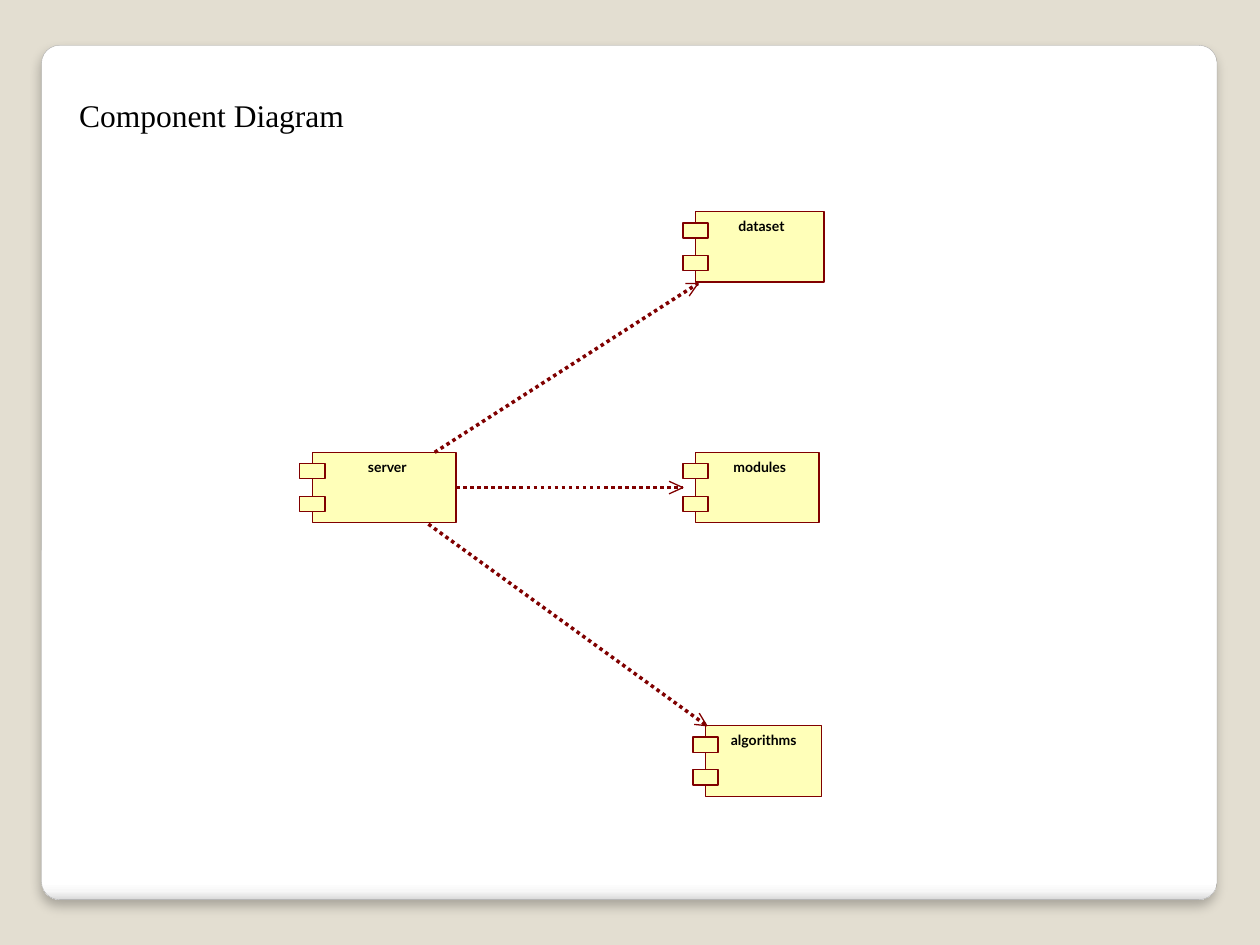
from lxml import etree
from pptx import Presentation
from pptx.dml.color import RGBColor
from pptx.enum.dml import MSO_LINE
from pptx.enum.shapes import MSO_CONNECTOR, MSO_SHAPE
from pptx.enum.text import MSO_ANCHOR
from pptx.oxml.ns import qn
from pptx.util import Inches, Pt

RECTANGLE = MSO_SHAPE.RECTANGLE
ROUNDED = MSO_SHAPE.ROUNDED_RECTANGLE
STRAIGHT = MSO_CONNECTOR.STRAIGHT
DOTTED = MSO_LINE.ROUND_DOT
TOP = MSO_ANCHOR.TOP
RIGHT_SIDE = 3
MAROON = "800000"
CREAM = "FFFFB9"


def color(value):
    return RGBColor.from_string(value)


def add_label(shapes, box, text, font, size, bold=False, inset=(0, 0), wrap=False):
    label = shapes.add_textbox(*map(Inches, box))
    frame = label.text_frame
    frame.word_wrap = wrap
    frame.vertical_anchor = TOP
    frame.margin_left = frame.margin_right = Inches(inset[0])
    frame.margin_top = frame.margin_bottom = Inches(inset[1])
    run = frame.paragraphs[0].add_run()
    run.text = text
    run.font.name = font
    run.font.size = Pt(size)
    run.font.bold = bold
    run.font.color.rgb = color("000000")


prs = Presentation()
prs.slide_width = Inches(10)
prs.slide_height = Inches(7.5)
slide = prs.slides.add_slide(prs.slide_layouts[6])
slide.background.fill.solid()
slide.background.fill.fore_color.rgb = color("E3DED1")

panel = slide.shapes.add_shape(ROUNDED, Inches(0.33), Inches(0.36), Inches(9.33), Inches(6.78))
panel.adjustments[0] = 0.021
panel.line.color.rgb = color("A4A4A4")
panel.line.width = Pt(0.16)
panel.fill.gradient()
panel.fill.gradient_angle = 270
stops = panel.fill._fill._gradFill.find(qn("a:gsLst"))
for stop in list(stops):
    stops.remove(stop)
for percent, tint in [(0, "FFFFFF"), (98, "FFFFFF"), (99, "F7F7F7"), (100, "DADADA")]:
    stop = etree.SubElement(stops, qn("a:gs"), pos=str(percent * 1000))
    etree.SubElement(stop, qn("a:srgbClr"), val=tint)
panel.shadow.inherit = False
effects = panel._element.spPr.find(qn("a:effectLst"))
shadow = etree.SubElement(effects, qn("a:outerShdw"), blurRad=str(Pt(6)), dist=str(Pt(4)),
                          dir="5400000", algn="t", rotWithShape="0")
shadow_color = etree.SubElement(shadow, qn("a:srgbClr"), val="000000")
etree.SubElement(shadow_color, qn("a:alpha"), val="25000")

add_label(slide.shapes, (0.53, 0.71, 9, 0.71), "Component Diagram", "Times New Roman", 18,
          inset=(0.1, 0.05), wrap=True)

components = [
    ("server", 2.48, 3.59, 1.14, 2.92, 0.36),
    ("dataset", 5.52, 1.68, 1.02, 5.86, 0.41),
    ("modules", 5.52, 3.59, 0.98, 5.82, 0.46),
    ("algorithms", 5.6, 5.76, 0.92, 5.8, 0.58),
]
bodies = {}
for name, left, top, width, label_left, label_width in components:
    component = slide.shapes.add_group_shape()
    parts = [(left, top, width, 0.56)]
    parts += [(left - 0.1, top + drop, 0.2, 0.12) for drop in (0.09, 0.35)]
    for box in parts:
        part = component.shapes.add_shape(RECTANGLE, *map(Inches, box))
        part.shadow.inherit = False
        part.fill.solid()
        part.fill.fore_color.rgb = color(CREAM)
        part.line.color.rgb = color(MAROON)
        part.line.width = Pt(0)
        bodies.setdefault(name, part)
    add_label(component.shapes, (label_left, top + 0.05, label_width, 0.17), name, "Lato", 8,
              bold=True)

dependencies = [
    ((3.45, 3.59), (5.54, 2.25), (5.47, 2.35), (5.44, 2.25)),
    ((3.62, 3.87), (5.42, 3.87), (5.31, 3.92), (5.31, 3.82)),
    ((3.4, 4.16), (5.61, 5.76), (5.51, 5.75), (5.55, 5.66)),
]
for start, tip, barb, other_barb in dependencies:
    dependency = slide.shapes.add_connector(STRAIGHT, *map(Inches, start + tip))
    dependency.line.dash_style = DOTTED
    etree.SubElement(dependency._element.spPr, qn("a:effectLst"))
    if start[1] == tip[1]:
        dependency.begin_connect(bodies["server"], RIGHT_SIDE)

    outline = slide.shapes.build_freeform(*map(Inches, barb))
    outline.add_line_segments([tuple(map(Inches, point)) for point in (tip, other_barb)],
                              close=False)
    arrowhead = outline.convert_to_shape()
    arrowhead.shadow.inherit = False
    arrowhead.fill.background()
    for stroke in (dependency, arrowhead):
        stroke.line.color.rgb = color(MAROON)
        stroke.line.width = Pt(0)

prs.save("out.pptx")
